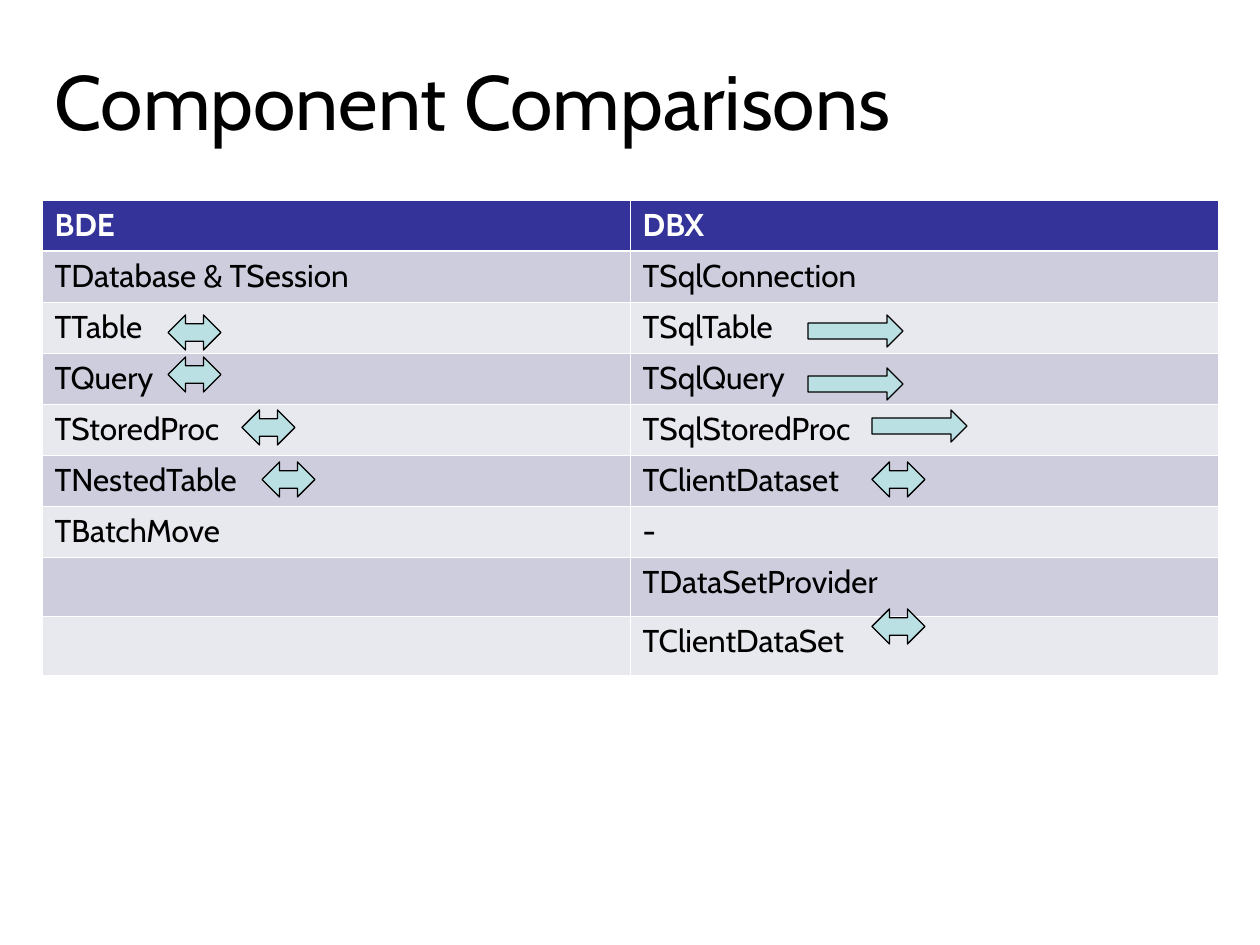
"""Build the Component Comparisons slide."""
from typing import NamedTuple

from lxml import etree
from pptx import Presentation
from pptx import util as u
from pptx.dml.color import RGBColor
from pptx.enum import shapes, text
from pptx.oxml.ns import qn

PX_PER_INCH = 126
FONT = "Cabin"
BLACK = RGBColor(0x00, 0x00, 0x00)
WHITE = RGBColor(0xFF, 0xFF, 0xFF)
HEADER = RGBColor(0x33, 0x33, 0x99)
BANDS = (RGBColor(0xE8, 0xE8, 0xEF), RGBColor(0xCD, 0xCD, 0xDE))
ARROW = RGBColor(0xBB, 0xE0, 0xE3)

LEFT, WIDTH = 42, 1176
TABLE_TOP = 200
ROW_HEIGHTS = [51] * 7 + [59] * 2
THIN, THICK = 0.45, 1.47


class Row(NamedTuple):
    bde: str
    dbx: str


class Arrow(NamedTuple):
    kind: shapes.MSO_SHAPE
    x: int
    y: int
    w: int
    h: int


def two_way(x: int, y: int) -> Arrow:
    return Arrow(shapes.MSO_SHAPE.LEFT_RIGHT_ARROW, x, y, 53, 35)


def one_way(x: int, y: int) -> Arrow:
    return Arrow(shapes.MSO_SHAPE.RIGHT_ARROW, x, y, 95, 32)


ROWS = [
    Row("BDE", "DBX"),
    Row("TDatabase & TSession", "TSqlConnection"),
    Row("TTable", "TSqlTable"),
    Row("TQuery", "TSqlQuery"),
    Row("TStoredProc", "TSqlStoredProc"),
    Row("TNestedTable", "TClientDataset"),
    Row("TBatchMove", "-"),
    Row("", "TDataSetProvider"),
    Row("", "TClientDataSet"),
]
ARROWS = [
    two_way(168, 315), two_way(168, 357), two_way(242, 410),
    two_way(262, 462), two_way(872, 462), two_way(872, 609),
    one_way(808, 315), one_way(808, 368), one_way(872, 410),
]


def px(n: int) -> u.Emu:
    return u.Emu(round(n * u.Inches(1) / PX_PER_INCH))


def style(p, size: int, color: RGBColor, bold: bool = False) -> None:
    p.font.name = FONT
    p.font.size = u.Pt(size)
    p.font.bold = bold
    p.font.color.rgb = color


def set_borders(cell, top: float, bottom: float) -> None:
    tc_pr = cell._tc.get_or_add_tcPr()
    for side, width in (("L", THIN), ("R", THIN), ("T", top), ("B", bottom)):
        ln = etree.SubElement(tc_pr, qn(f"a:ln{side}"), w=str(u.Pt(width)))
        fill = etree.SubElement(ln, qn("a:solidFill"))
        etree.SubElement(fill, qn("a:srgbClr"), val=str(WHITE))


def add_title(s, title: str) -> None:
    tf = s.shapes.add_textbox(px(LEFT), px(21), px(WIDTH), px(158)).text_frame
    tf.word_wrap = True
    tf.vertical_anchor = text.MSO_ANCHOR.MIDDLE
    p = tf.paragraphs[0]
    p.text = title
    style(p, 44, BLACK)


def add_comparison(s, rows: list[Row]) -> None:
    table = s.shapes.add_table(len(rows), 2, px(LEFT), px(TABLE_TOP),
                               px(WIDTH), px(sum(ROW_HEIGHTS))).table
    table.horz_banding = False
    for i, (row, height) in enumerate(zip(rows, ROW_HEIGHTS)):
        table.rows[i].height = px(height)
        for j, value in enumerate(row):
            cell = table.cell(i, j)
            set_borders(cell, THICK if i == 1 else THIN,
                        THICK if i == 0 else THIN)
            cell.fill.solid()
            cell.fill.fore_color.rgb = BANDS[i % 2] if i else HEADER
            p = cell.text_frame.paragraphs[0]
            if value:
                p.text = value
            style(p, 18, BLACK if i else WHITE, bold=i == 0)


def add_arrow(s, a: Arrow) -> None:
    sp = s.shapes.add_shape(a.kind, px(a.x), px(a.y), px(a.w), px(a.h))
    sp.shadow.inherit = False
    sp.fill.solid()
    sp.fill.fore_color.rgb = ARROW
    sp.line.color.rgb = BLACK
    sp.line.width = u.Pt(0.75)


def main() -> None:
    prs = Presentation()
    prs.slide_width, prs.slide_height = u.Inches(10), u.Inches(7.5)
    s = prs.slides.add_slide(prs.slide_layouts[6])
    add_title(s, "Component Comparisons")
    add_comparison(s, ROWS)
    for arrow in ARROWS:
        add_arrow(s, arrow)
    prs.save("out.pptx")


if __name__ == "__main__":
    main()
